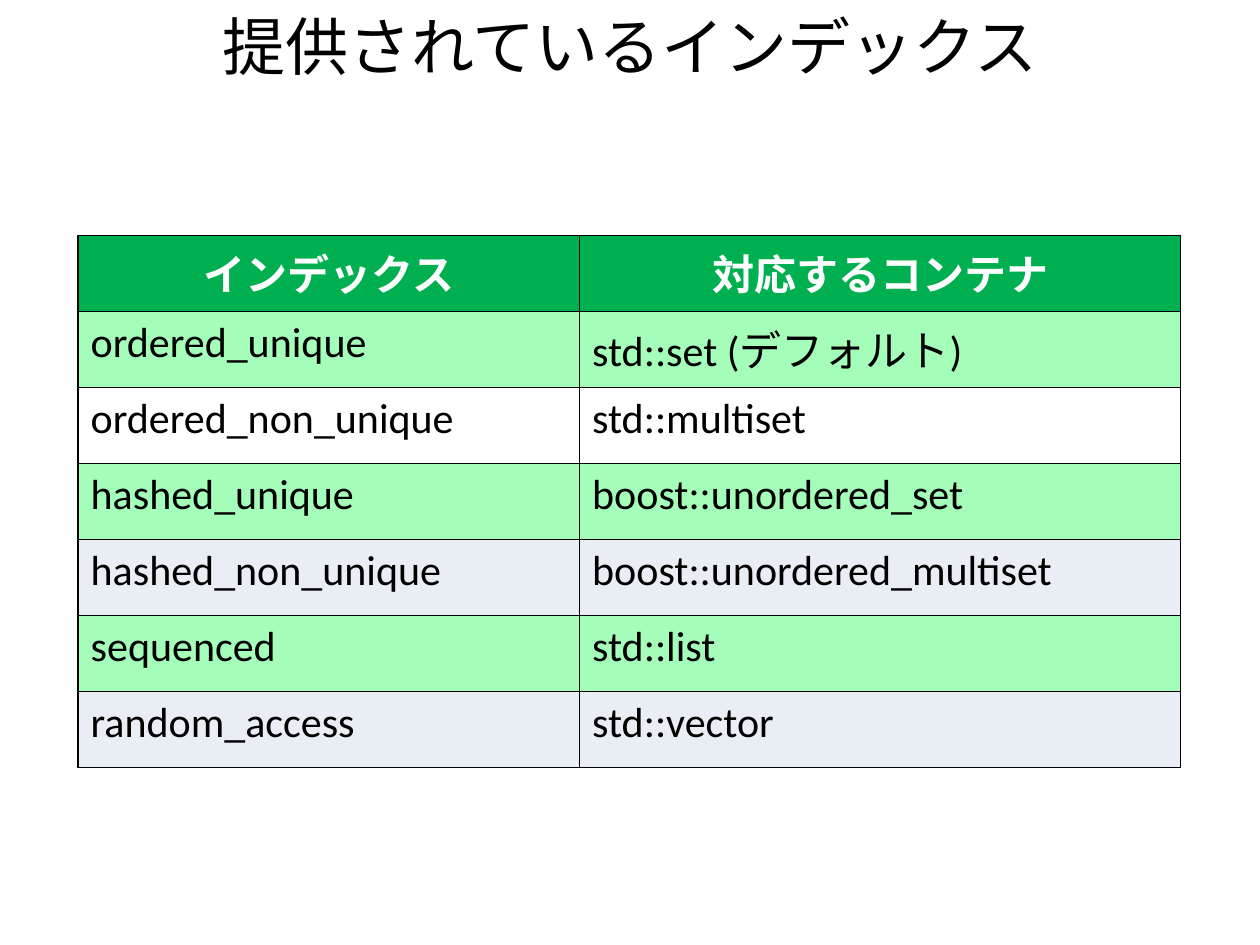
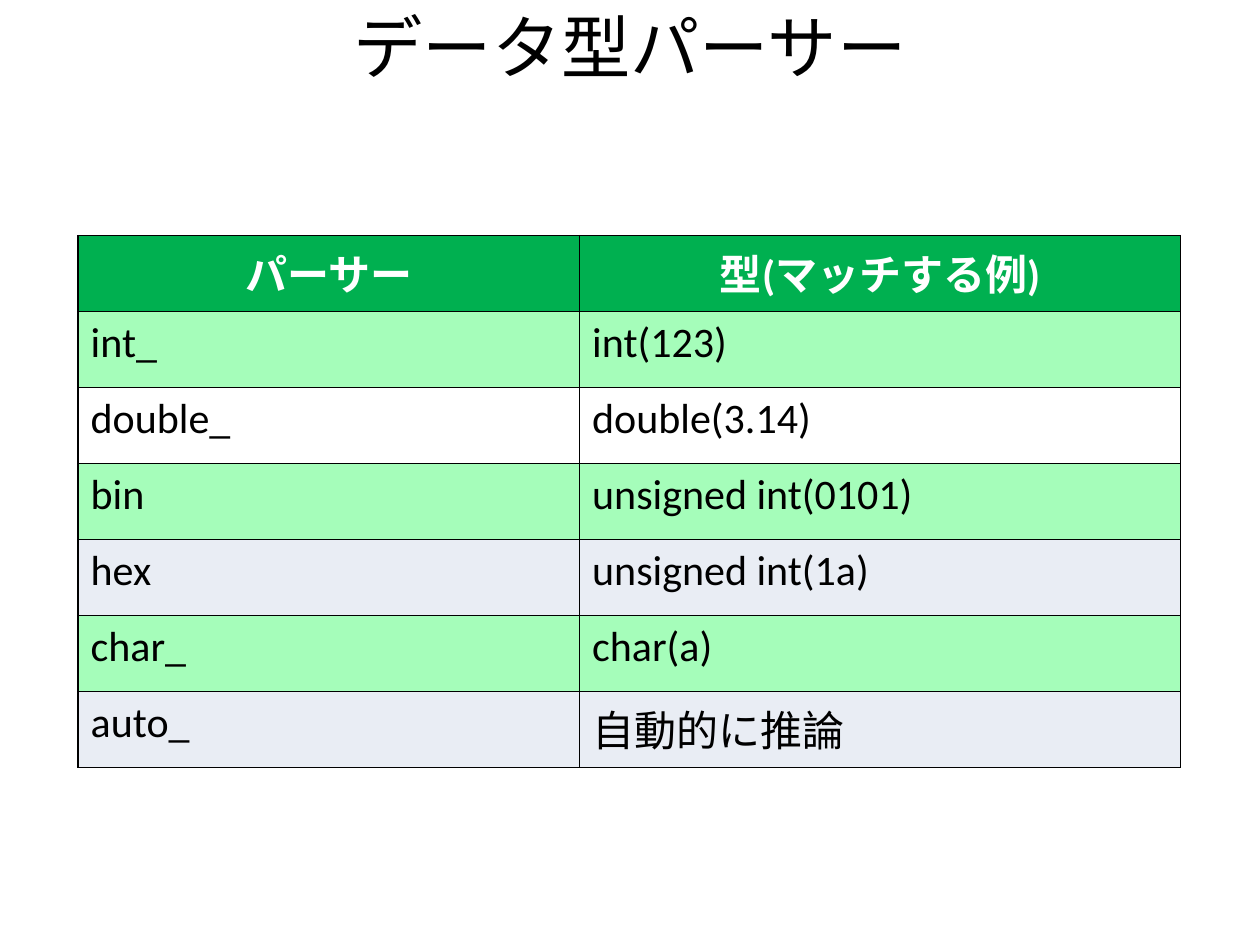
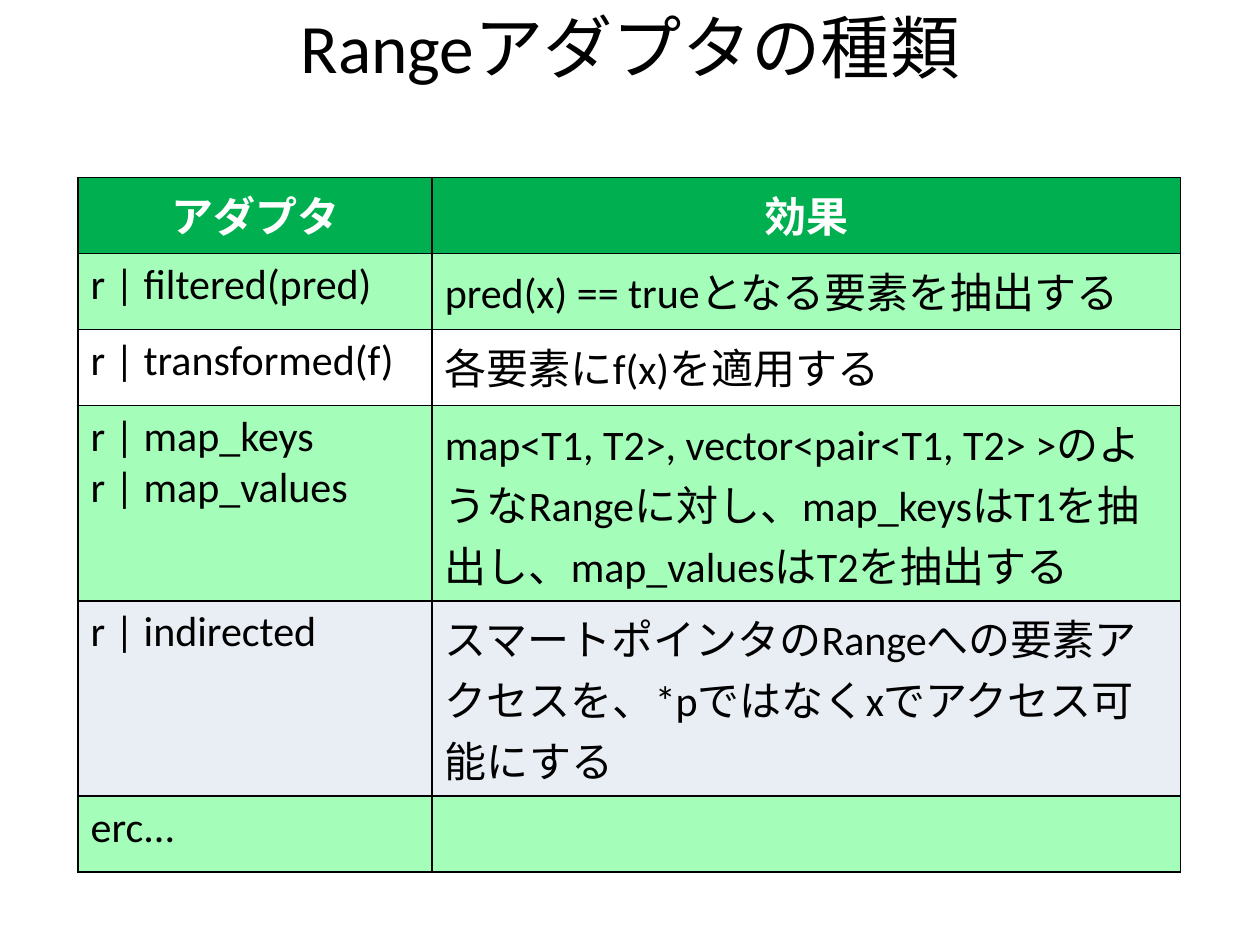
from dataclasses import dataclass

from lxml import etree
from pptx import Presentation
from pptx.dml.color import RGBColor
from pptx.enum.text import MSO_ANCHOR, PP_ALIGN
from pptx.oxml.ns import qn
from pptx.util import Inches, Pt

CENTER, LEFT = PP_ALIGN.CENTER, PP_ALIGN.LEFT
MIDDLE = MSO_ANCHOR.MIDDLE


@dataclass(frozen=True)
class Theme:
    font: str = "Calibri"
    text: str = "000000"
    header_text: str = "FFFFFF"
    header_fill: str = "00B050"
    green: str = "A5FDBA"
    grey: str = "E9EDF4"
    border: str = "000000"
    border_pt: float = 1
    cell_pt: float = 24


THEME = Theme()
TABLE_LEFT, TABLE_WIDTH = 0.62, 8.75
ROW_HEIGHT = 4.22 / 7
THREE_LINE_HEIGHT = 1.55

SLIDES = [
    {
        "title": "提供されているインデックス",
        "title_pt": 36,
        "top": 1.87,
        "first_col": 3.98,
        "three_line_rows": (),
        "rows": [
            ("インデックス", "対応するコンテナ"),
            ("ordered_unique", "std::set (デフォルト)"),
            ("ordered_non_unique", "std::multiset"),
            ("hashed_unique", "boost::unordered_set"),
            ("hashed_non_unique", "boost::unordered_multiset"),
            ("sequenced", "std::list"),
            ("random_access", "std::vector"),
        ],
    },
    {
        "title": "データ型パーサー",
        "title_pt": 39.6,
        "top": 1.87,
        "first_col": 3.98,
        "three_line_rows": (),
        "rows": [
            ("パーサー", "型(マッチする例)"),
            ("int_", "int(123)"),
            ("double_", "double(3.14)"),
            ("bin", "unsigned int(0101)"),
            ("hex", "unsigned int(1a)"),
            ("char_", "char(a)"),
            ("auto_", "自動的に推論"),
        ],
    },
    {
        "title": "Rangeアダプタの種類",
        "title_pt": 39.6,
        "top": 1.41,
        "first_col": 2.81,
        "three_line_rows": (3, 4),
        "rows": [
            ("アダプタ", "効果"),
            ("r | filtered(pred)", "pred(x) == trueとなる要素を抽出する"),
            ("r | transformed(f)", "各要素にf(x)を適用する"),
            ("r | map_keys\nr | map_values",
             "map<T1, T2>, vector<pair<T1, T2> >のようなRangeに対し、"
             "map_keysはT1を抽出し、map_valuesはT2を抽出する"),
            ("r | indirected",
             "スマートポインタのRangeへの要素アクセスを、"
             "*pではなくxでアクセス可能にする"),
            ("erc...", ""),
        ],
    },
]


def write(tf, text, size, color, align, bold=False):
    """Fill a text frame with one paragraph per line of text."""
    for i, line in enumerate(text.split("\n")):
        p = tf.add_paragraph() if i else tf.paragraphs[0]
        p.alignment = align
        if not line:
            p.font.size = Pt(size)
            continue
        r = p.add_run()
        r.text = line
        r.font.name = THEME.font
        r.font.size = Pt(size)
        r.font.bold = bold
        r.font.color.rgb = RGBColor.from_string(color)


def add_title(s, text, size):
    sp = s.shapes.add_textbox(Inches(0.5), 0, Inches(9), Inches(0.72))
    tf = sp.text_frame
    tf.word_wrap = True
    tf.vertical_anchor = MIDDLE
    write(tf, text, size, THEME.text, CENTER)


def add_borders(cell):
    tc_pr = cell._tc.get_or_add_tcPr()
    for side in ("a:lnL", "a:lnR", "a:lnT", "a:lnB"):
        ln = etree.SubElement(tc_pr, qn(side), w=str(Pt(THEME.border_pt)))
        fill = etree.SubElement(ln, qn("a:solidFill"))
        etree.SubElement(fill, qn("a:srgbClr"), val=THEME.border)


def row_fill(i):
    """Green header, then green and grey bands; row 2 stays clear."""
    if i == 0:
        return THEME.header_fill
    if i == 2:
        return None
    return THEME.green if i % 2 else THEME.grey


def add_grid(s, rows, top, first_col, three_line_rows):
    heights = [THREE_LINE_HEIGHT if i in three_line_rows else ROW_HEIGHT
               for i in range(len(rows))]
    table = s.shapes.add_table(
        len(rows), 2, Inches(TABLE_LEFT), Inches(top),
        Inches(TABLE_WIDTH), Inches(sum(heights))).table
    table.horz_banding = False
    table.columns[0].width = Inches(first_col)
    table.columns[1].width = Inches(TABLE_WIDTH - first_col)
    for i, row in enumerate(rows):
        table.rows[i].height = Inches(heights[i])
        header = i == 0
        fill = row_fill(i)
        for j, text in enumerate(row):
            cell = table.cell(i, j)
            add_borders(cell)
            if fill:
                cell.fill.solid()
                cell.fill.fore_color.rgb = RGBColor.from_string(fill)
            else:
                cell.fill.background()
            write(cell.text_frame, text, THEME.cell_pt,
                  THEME.header_text if header else THEME.text,
                  CENTER if header else LEFT, header)


def main():
    prs = Presentation()
    prs.slide_width, prs.slide_height = Inches(10), Inches(7.5)
    for content in SLIDES:
        s = prs.slides.add_slide(prs.slide_layouts[6])
        add_title(s, content["title"], content["title_pt"])
        add_grid(s, content["rows"], content["top"], content["first_col"],
                 content["three_line_rows"])
    prs.save("out.pptx")


if __name__ == "__main__":
    main()
